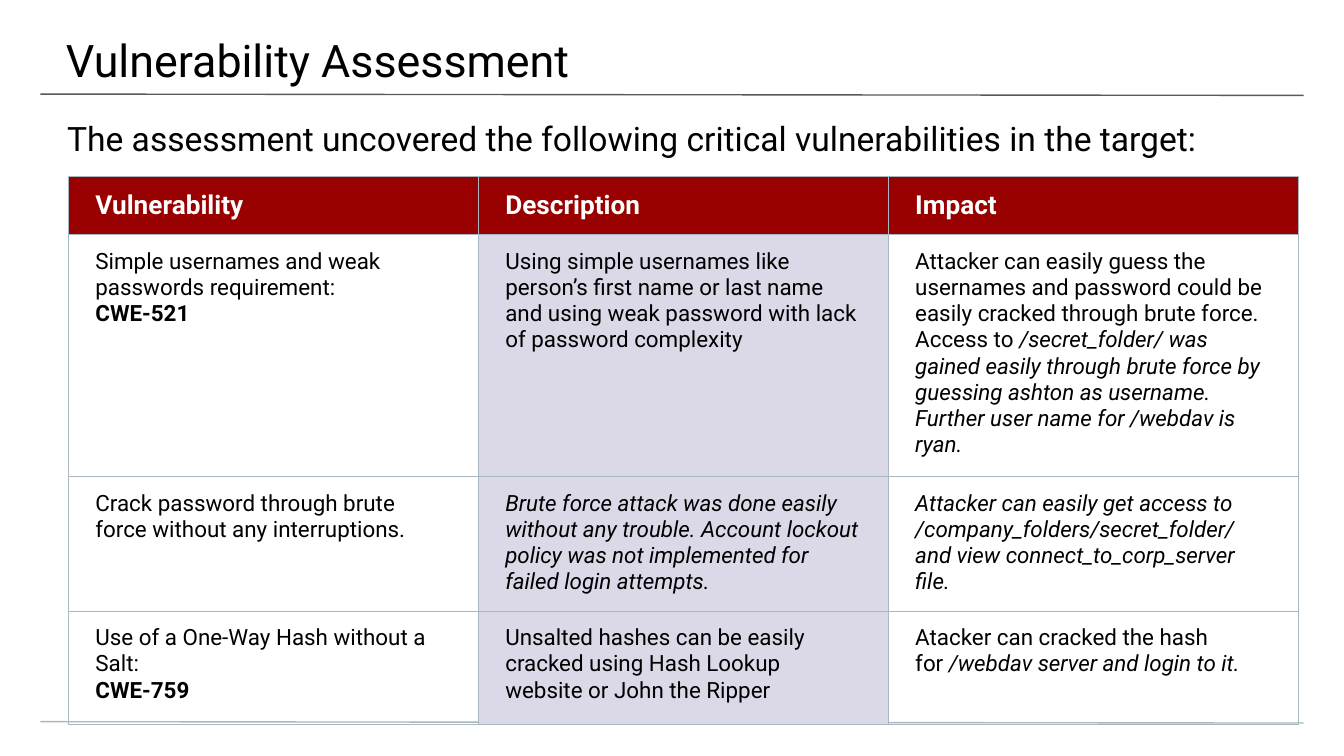
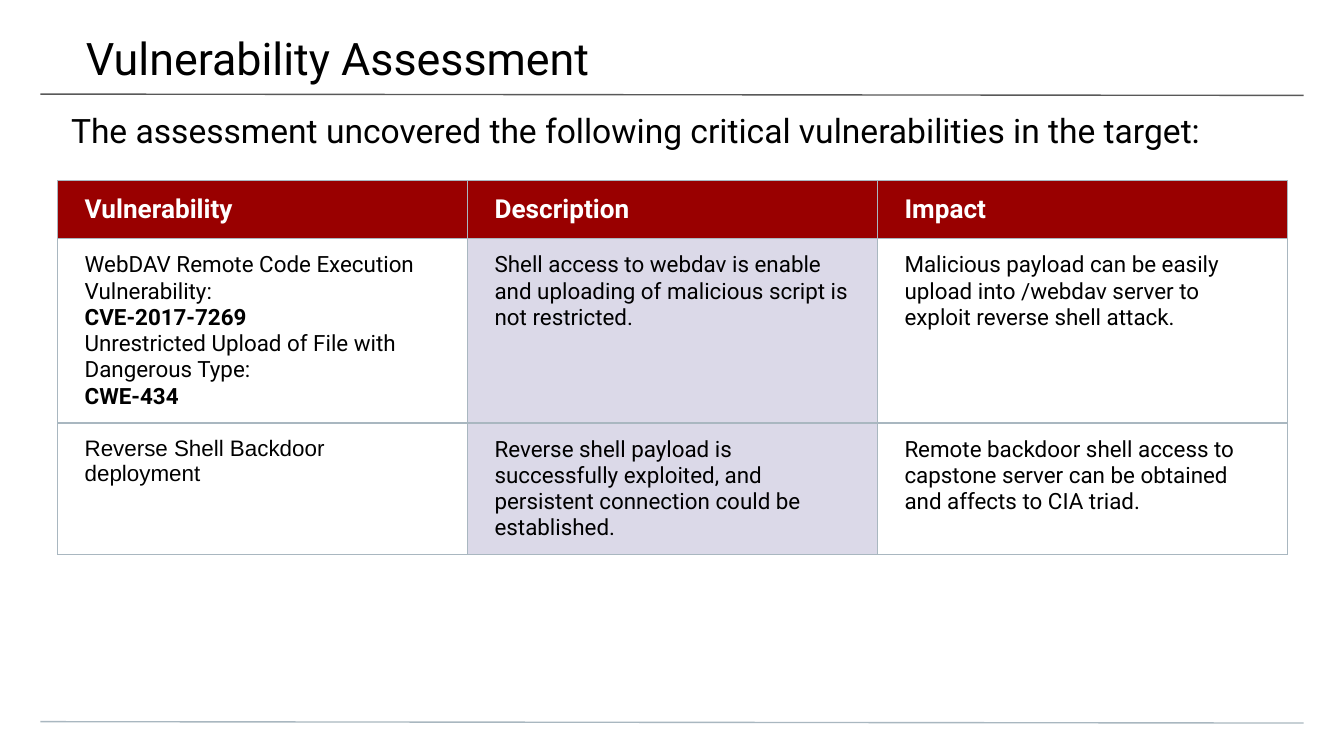
"""Build two slides of vulnerability findings."""
from lxml.etree import SubElement
from pptx import Presentation
from pptx.dml.color import RGBColor
from pptx.enum.shapes import MSO_CONNECTOR
from pptx.enum.text import MSO_ANCHOR
from pptx.oxml.ns import qn
from pptx.util import Pt

HUES = {
    "ink": "000000",
    "white": "FFFFFF",
    "head": "990000",
    "tint": "DBD9E8",
    "rule": "595959",
    "edge": "A9B7C0",
}
FONT = "Roboto"
TITLE = "Vulnerability Assessment"
INTRO = "The assessment uncovered the following critical vulnerabilities in the target:"
HEADS = ("Vulnerability", "Description", "Impact")
COL = 219.6
HEAD_ROW = 30.96
BODY_ROW = 60.48


class Deck:
    def __init__(self):
        self.prs = Presentation()
        self.prs.slide_width, self.prs.slide_height = Pt(720), Pt(405)
        self.slide = None

    def hue(self, name):
        return RGBColor.from_string(HUES[name])

    def page(self):
        self.slide = self.prs.slides.add_slide(self.prs.slide_layouts[6])
        self.line(50.4, "rule")
        self.line(386.64, "edge")

    def line(self, top, hue):
        rule = self.slide.shapes.add_connector(
            MSO_CONNECTOR.STRAIGHT, Pt(21.6), Pt(top), Pt(698.4), Pt(top + 0.72))
        rule.line.color.rgb = self.hue(hue)
        rule.line.width = Pt(0.75)
        SubElement(rule._element.spPr, qn("a:effectLst"))

    def style(self, para, size, hue="ink", bold=False, face=FONT):
        font = para.font
        font.name, font.size, font.bold = face, Pt(size), bold
        font.color.rgb = self.hue(hue)

    def pad(self, frame, left, top, right, low):
        frame.margin_left, frame.margin_top = Pt(left), Pt(top)
        frame.margin_right, frame.margin_bottom = Pt(right), Pt(low)

    def text(self, words, size, box, pads=(7.2, 3.6, 7.2, 3.6)):
        frame = self.slide.shapes.add_textbox(*map(Pt, box)).text_frame
        frame.word_wrap = True
        self.pad(frame, *pads)
        para = frame.paragraphs[0]
        para.text = words
        self.style(para, size)

    def edge(self, cell):
        props = cell._tc.get_or_add_tcPr()
        for side in ("lnL", "lnR", "lnT", "lnB"):
            line = SubElement(props, qn(f"a:{side}"), w=str(Pt(0.75)))
            fill = SubElement(line, qn("a:solidFill"))
            SubElement(fill, qn("a:srgbClr"), val=HUES["edge"])

    def fill(self, cell, hue):
        self.edge(cell)
        self.pad(cell, 14.4, 7.2, 14.4, 7.2)
        if hue:
            cell.fill.solid()
            cell.fill.fore_color.rgb = self.hue(hue)
        else:
            cell.fill.background()

    def body(self, cell, paras, face):
        frame = cell.text_frame
        for n, runs in enumerate(paras):
            para = frame.add_paragraph() if n else frame.paragraphs[0]
            kinds = {kind for _, kind in runs}
            self.style(para, 12, bold=kinds == {"b"}, face=face)
            para.font.italic = kinds == {"i"}
            for words, kind in runs:
                run = para.add_run()
                run.text = words
                if len(kinds) > 1:
                    run.font.italic = kind == "i"

    def table(self, left, top, rows, faces=None):
        high = HEAD_ROW + BODY_ROW * len(rows)
        grid = self.slide.shapes.add_table(
            len(rows) + 1, len(HEADS), Pt(left), Pt(top), Pt(COL * len(HEADS)), Pt(high)).table
        grid.first_row = grid.horz_banding = False
        for n, row in enumerate(grid.rows):
            row.height = Pt(BODY_ROW if n else HEAD_ROW)
        for c, head in enumerate(HEADS):
            grid.columns[c].width = Pt(COL)
            cell = grid.cell(0, c)
            self.fill(cell, "head")
            cell.vertical_anchor = MSO_ANCHOR.MIDDLE
            para = cell.text_frame.paragraphs[0]
            para.text = head
            self.style(para, 14, "white", True)
            for r, row in enumerate(rows):
                cell = grid.cell(r + 1, c)
                self.fill(cell, "tint" if c == 1 else None)
                self.body(cell, row[c], (faces or {}).get((r, c), FONT))

    def save(self):
        self.prs.save("out.pptx")


def para(words, kind=""):
    return [(words, kind)]


WEAK = [
    (
        [para("Simple usernames and weak passwords requirement:"), para("CWE-521", "b")],
        [para("Using simple usernames like person’s first name or last name and using "
              "weak password with lack of password complexity")],
        [[("Attacker can easily guess the usernames and password could be easily "
           "cracked through brute force. Access to ", ""),
          ("/secret_folder/ was gained easily through brute force by guessing ashton "
           "as username. Further user name for /webdav is ryan.", "i")]],
    ),
    (
        [para("Crack password through brute force without any interruptions.")],
        [para("Brute force attack was done easily without any trouble. Account lockout "
              "policy was not implemented for failed login attempts.", "i")],
        [para("Attacker can easily get access to /company_folders/secret_folder/ and "
              "view connect_to_corp_server file.", "i")],
    ),
    (
        [para("Use of a One-Way Hash without a Salt:"), para("CWE-759", "b")],
        [para("Unsalted hashes can be easily cracked using Hash Lookup website or "
              "John the Ripper")],
        [[("Atacker can cracked the hash for ", ""),
          ("/webdav server and login to it.", "i")]],
    ),
]
SHELL = [
    (
        [para("WebDAV Remote Code Execution Vulnerability:"), para("CVE-2017-7269", "b"),
         para("Unrestricted Upload of File with Dangerous Type:"), para("CWE-434", "b")],
        [para("Shell access to webdav is enable and uploading of malicious script is "
              "not restricted.")],
        [para("Malicious payload can be easily upload into /webdav server to exploit "
              "reverse shell attack.")],
    ),
    (
        [para("Reverse Shell Backdoor deployment")],
        [para("Reverse shell payload is successfully exploited, and persistent "
              "connection could be established.")],
        [para("Remote backdoor shell access to capstone server can be obtained and "
              "affects to CIA triad.")],
    ),
]


def main():
    deck = Deck()
    deck.page()
    deck.text(TITLE, 24, (-0.72, 2.88, 722, 41.76), (36, 14.4, 21.6, 7.2))
    deck.text(INTRO, 18, (0, 56.16, 720, 28.8), (36, 7.2, 36, 0))
    deck.table(36.72, 94.6, WEAK)
    deck.page()
    deck.table(30.96, 96.8, SHELL, {(1, 0): "Arial"})
    deck.text(INTRO, 18, (30.96, 55.44, 658.8, 28.8))
    deck.text(TITLE, 24, (38.88, 12.96, 360.72, 36))
    deck.save()


if __name__ == "__main__":
    main()
